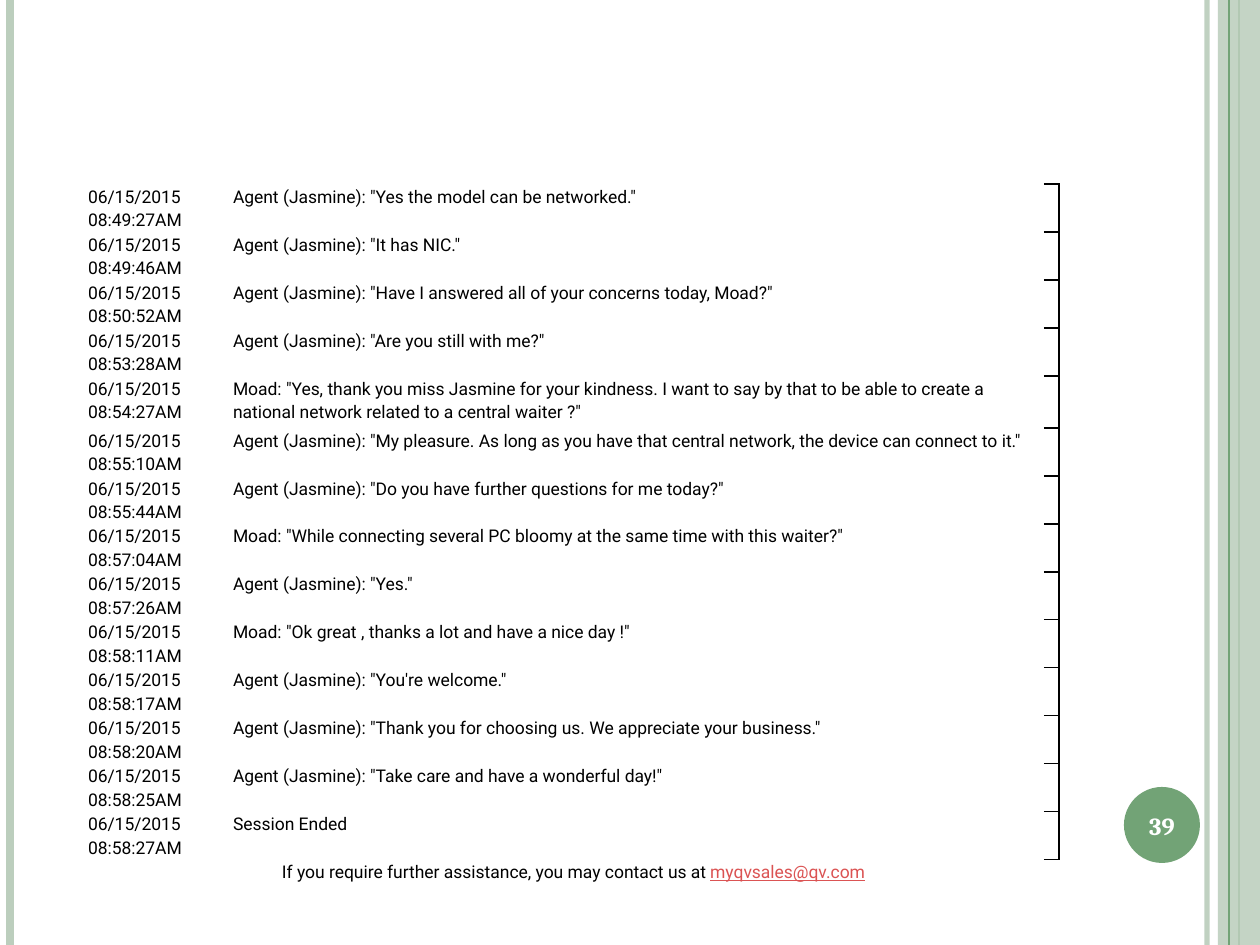
from lxml import etree
from pptx import Presentation
from pptx import util as u
from pptx.dml.color import RGBColor
from pptx.enum import shapes, text
from pptx.oxml.ns import qn

PX = 914400 / 126
BLACK = RGBColor(0x00, 0x00, 0x00)
WHITE = RGBColor(0xFF, 0xFF, 0xFF)
PALE = RGBColor(0xBC, 0xCE, 0xBD)
GREEN = RGBColor(0x72, 0xA3, 0x76)
RED = RGBColor(0xDB, 0x53, 0x53)
NO_GRID = "{2D5ABB26-0587-4C30-8999-92F81FD0307C}"


def px(*lengths):
    return [u.Emu(round(n * PX)) for n in lengths]


def set_opacity(part, percent):
    color = next(part._element.spPr.iter(qn("a:srgbClr")))
    etree.SubElement(color, qn("a:alpha"), val=str(percent * 1000))


prs = Presentation()
prs.slide_width, prs.slide_height = px(1260, 945)
slide = prs.slides.add_slide(prs.slide_layouts[6])

# Side rules: x, weight in points, colour, opacity
rules = [(1207, 3, PALE, 93), (10, 4.5, PALE, 100),
         (1239, 1.5, GREEN, 100), (1229, 0.75, GREEN, 100)]
for x, weight, color, opacity in rules:
    if x == 1229:
        band = slide.shapes.add_shape(shapes.MSO_SHAPE.RECTANGLE, *px(1218, 0, 42, 945))
        band.shadow.inherit = False
        band.fill.solid()
        band.fill.fore_color.rgb = PALE
        band.line.fill.background()
        set_opacity(band, 87)
    rule = slide.shapes.add_connector(shapes.MSO_CONNECTOR.STRAIGHT, *px(x, 0, x, 945))
    rule.line.color.rgb = color
    rule.line.width = u.Pt(weight)
    if opacity < 100:
        set_opacity(rule, opacity)
    etree.SubElement(rule._element.spPr, qn("a:effectLst"))

badge = slide.shapes.add_shape(shapes.MSO_SHAPE.OVAL, *px(1124, 787, 76, 76))
badge.shadow.inherit = False
badge.fill.solid()
badge.fill.fore_color.rgb = GREEN
badge.line.fill.background()

# Chat transcript: time on 06/15/2015, message
chat = [
    ("08:49:27AM", 'Agent (Jasmine): "Yes the model can be networked."'),
    ("08:49:46AM", 'Agent (Jasmine): "It has NIC."'),
    ("08:50:52AM", 'Agent (Jasmine): "Have I answered all of your concerns today, Moad?"'),
    ("08:53:28AM", 'Agent (Jasmine): "Are you still with me?"'),
    ("08:54:27AM", 'Moad: "Yes, thank you miss Jasmine for your kindness. I want to say by that '
                   'to be able to create a national network related to a central waiter ?"'),
    ("08:55:10AM", 'Agent (Jasmine): "My pleasure. As long as you have that central network, '
                   'the device can connect to it."'),
    ("08:55:44AM", 'Agent (Jasmine): "Do you have further questions for me today?"'),
    ("08:57:04AM", 'Moad: "While connecting several PC bloomy at the same time with this waiter?"'),
    ("08:57:26AM", 'Agent (Jasmine): "Yes."'),
    ("08:58:11AM", 'Moad: "Ok great , thanks a lot and have a nice day !"'),
    ("08:58:17AM", 'Agent (Jasmine): "You\'re welcome."'),
    ("08:58:20AM", 'Agent (Jasmine): "Thank you for choosing us. We appreciate your business."'),
    ("08:58:25AM", 'Agent (Jasmine): "Take care and have a wonderful day!"'),
    ("08:58:27AM", "Session Ended"),
]
contact = ["If you require further assistance, you may contact us at ", "myqvsales@qv.com"]
rows = [[[f"06/15/2015 {time}"], [message], []] for time, message in chat]
rows.append([contact, [], []])
row_heights = [48] * len(chat) + [26]
row_heights[4] = 52

transcript = slide.shapes.add_table(len(rows), 3, *px(88, 184, 971, sum(row_heights))).table
transcript.first_row = transcript.horz_banding = False
transcript._tbl.tblPr.find(qn("a:tableStyleId")).text = NO_GRID
for column, width in zip(transcript.columns, px(145, 811, 15)):
    column.width = width
for row, height in zip(transcript.rows, px(*row_heights)):
    row.height = height
transcript.cell(len(chat), 0).merge(transcript.cell(len(chat), 2))

cell_format = dict(margin_left=0, margin_right=0, margin_top=0, margin_bottom=0)
line_format = dict(line_spacing=1.15, space_after=u.Pt(10))
font_format = dict(name="Roboto", size=u.Pt(10))
for r, row in enumerate(rows):
    for c, pieces in enumerate(row):
        cell = transcript.cell(r, c)
        for key, value in cell_format.items():
            setattr(cell, key, value)
        if c == 2 and r < len(chat):
            for side in ("lnR", "lnT"):
                border = etree.SubElement(cell._tc.get_or_add_tcPr(), qn(f"a:{side}"), w="12700")
                ink = etree.SubElement(border, qn("a:solidFill"))
                etree.SubElement(ink, qn("a:srgbClr"), val=str(BLACK))
        cell.fill.background()
        line = cell.text_frame.paragraphs[0]
        if not pieces:
            etree.SubElement(line._p, qn("a:endParaRPr"), sz="100")
            continue
        for key, value in line_format.items():
            setattr(line, key, value)
        for piece in pieces:
            run = line.add_run()
            run.text = piece
            for key, value in font_format.items():
                setattr(run.font, key, value)
            run.font.color.rgb = BLACK

contact_line = transcript.cell(len(chat), 0).text_frame.paragraphs[0]
contact_line.alignment = text.PP_ALIGN.CENTER
address = contact_line.runs[1]
address.font.color.rgb = RED
address.font.underline = True

page_number = slide.shapes.add_textbox(*px(1120, 790, 84, 72)).text_frame
page_number.word_wrap = True
page_number.vertical_anchor = text.MSO_ANCHOR.MIDDLE
number_line = page_number.paragraphs[0]
number_line.alignment = text.PP_ALIGN.CENTER
number = number_line.add_run()
number.text = "39"
for key, value in dict(name="Cambria", size=u.Pt(14), bold=True).items():
    setattr(number.font, key, value)
number.font.color.rgb = WHITE

prs.save("out.pptx")
